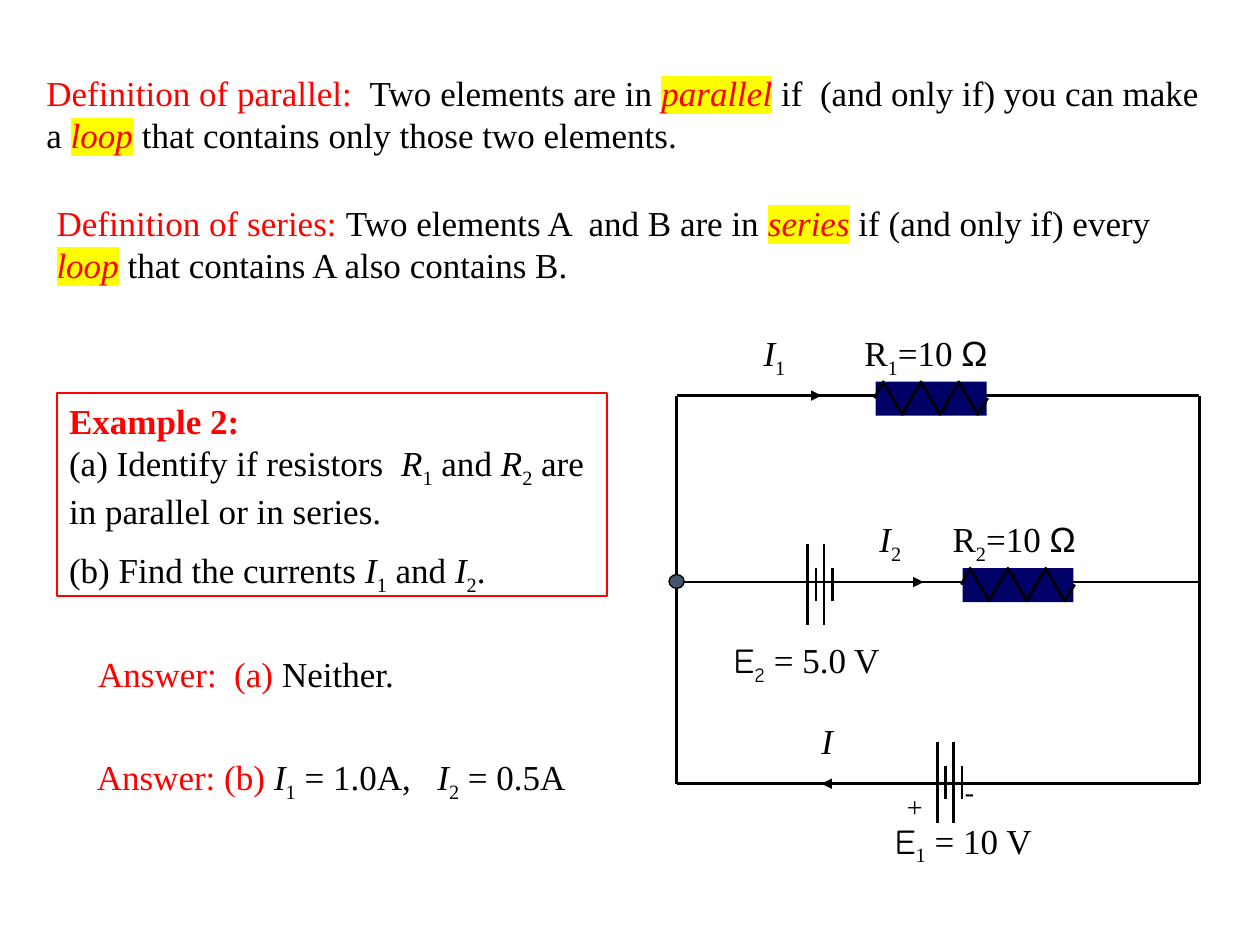
from dataclasses import dataclass
from typing import NamedTuple, Optional

from lxml import etree
from pptx import Presentation
from pptx import util as u
from pptx.dml.color import RGBColor
from pptx.enum import shapes as s, text as t
from pptx.oxml.ns import qn


@dataclass(frozen=True)
class Theme:
    ink: str = "000000"
    accent: str = "FF0000"
    highlight: str = "FFFF00"
    resistor: str = "000066"
    node: str = "44546A"
    font: str = "Times New Roman"
    symbol_font: str = "Arial"
    emf_font: str = "Comic Neue"
    body_size: float = 20
    sign_size: float = 16
    wire: float = 1.5
    thin: float = 0.75
    frame: float = 1.25


THEME = Theme()


class Run(NamedTuple):
    text: str
    color: str = THEME.ink
    font: Optional[str] = None
    italic: bool = False
    bold: bool = False
    subscript: bool = False
    highlight: bool = False


class Box(NamedTuple):
    left: float
    top: float
    width: float
    height: float


class Label(NamedTuple):
    box: Box
    runs: list
    wrap: bool = True


class Resistor(NamedTuple):
    left: float
    top: float


class Battery(NamedTuple):
    left: float
    middle: float


LINE_BREAK = Run("\n")
TEXT_INSETS = (0.1, 0.05)
LABEL_INSETS = (0.11, 0.06)


def red(words: str, bold: bool = False) -> Run:
    return Run(words, THEME.accent, bold=bold)


def term(word: str) -> Run:
    return Run(word, THEME.accent, italic=True, highlight=True)


def symbol(letter: str, index: str) -> list[Run]:
    return [Run(letter, italic=True), Run(index, subscript=True)]


def resistance(index: str) -> list[Run]:
    return [Run("R"), Run(index, subscript=True), Run("=10 "), Run("Ω", font=THEME.symbol_font)]


def lengths(*values: float) -> list[u.Length]:
    return [u.Inches(value) for value in values]


def add_run(paragraph, run: Run) -> None:
    if run == LINE_BREAK:
        paragraph.add_line_break()
        return
    item = paragraph.add_run()
    item.text = run.text
    item.font.color.rgb = RGBColor.from_string(run.color)
    if run.font:
        item.font.name = run.font
    if run.italic:
        item.font.italic = True
    if run.bold:
        item.font.bold = True
    properties = item._r.get_or_add_rPr()
    if run.subscript:
        properties.set("baseline", "-25000")
    if run.highlight:
        mark = etree.Element(qn("a:highlight"))
        etree.SubElement(mark, qn("a:srgbClr")).set("val", THEME.highlight)
        properties.find(qn("a:solidFill")).addnext(mark)


def fill_text(shape, paragraphs: list[list[Run]], size: float = THEME.body_size,
              insets: tuple[float, float] = TEXT_INSETS, wrap: bool = True) -> None:
    frame = shape.text_frame
    frame.word_wrap = wrap
    frame.vertical_anchor = t.MSO_ANCHOR.TOP
    frame.margin_left = frame.margin_right = u.Inches(insets[0])
    frame.margin_top = frame.margin_bottom = u.Inches(insets[1])
    for number, runs in enumerate(paragraphs):
        paragraph = frame.add_paragraph() if number else frame.paragraphs[0]
        paragraph.alignment = t.PP_ALIGN.LEFT
        if number:
            paragraph.space_before = u.Pt(size / 2)
        paragraph.font.size = u.Pt(size)
        paragraph.font.name = THEME.font
        for run in runs:
            add_run(paragraph, run)


def add_text(shapes, box: Box, runs: list[Run], **options) -> None:
    fill_text(shapes.add_textbox(*lengths(*box)), [runs], **options)


def style(shape, fill: Optional[str], line: Optional[str], width: float = THEME.wire) -> None:
    shape.shadow.inherit = False
    if fill:
        shape.fill.solid()
        shape.fill.fore_color.rgb = RGBColor.from_string(fill)
    else:
        shape.fill.background()
    if line:
        shape.line.color.rgb = RGBColor.from_string(line)
        shape.line.width = u.Pt(width)
    else:
        shape.line.fill.background()


def add_line(shapes, x1: float, y1: float, x2: float, y2: float, arrow: bool = False) -> None:
    line = shapes.add_connector(s.MSO_CONNECTOR.STRAIGHT, *lengths(x1, y1, x2, y2))
    line.line.color.rgb = RGBColor.from_string(THEME.ink)
    line.line.width = u.Pt(THEME.thin if arrow else THEME.wire)
    if arrow:
        etree.SubElement(line.line._get_or_add_ln(), qn("a:tailEnd")).set("type", "triangle")
    etree.SubElement(line._element.spPr, qn("a:effectLst"))


def add_resistor(shapes, resistor: Resistor) -> None:
    left, top = resistor
    body = shapes.add_shape(s.MSO_SHAPE.RECTANGLE, *lengths(left, top, 0.88, 0.27))
    style(body, THEME.resistor, None)
    peaks = [(left + 0.06 + 0.15 * n, top + 0.26 * (n % 2)) for n in range(6)]
    points = [(left - 0.01, top + 0.13), *peaks, (left + 0.89, top + 0.13)]
    start, *rest = [tuple(lengths(*point)) for point in points]
    builder = shapes.build_freeform(*start)
    builder.add_line_segments(rest, close=False)
    style(builder.convert_to_shape(), THEME.resistor, THEME.ink)


def add_battery(shapes, battery: Battery) -> None:
    for number, half in enumerate((0.32, 0.13) * 2):
        x = battery.left + 0.065 * number
        add_line(shapes, x, battery.middle + half, x, battery.middle - half)


def draw_circuit(shapes) -> None:
    left, right, upper, centre, lower = 5.37, 9.52, 3.14, 4.62, 6.22
    # Wires
    for x in (left, right):
        add_line(shapes, x, upper, x, lower)
    for y in (upper, centre, lower):
        add_line(shapes, left, y, right, y)
    # Components
    for battery in (Battery(7.44, 6.21), Battery(6.41, 4.64)):
        add_battery(shapes, battery)
    for resistor in (Resistor(6.95, 3.03), Resistor(7.64, 4.51)):
        add_resistor(shapes, resistor)
    # Current arrows
    for start, end, y in ((6.06, 6.52, upper), (6.87, 7.33, centre), (6.99, 6.52, lower)):
        add_line(shapes, start, y, end, y, arrow=True)
    # Labels
    emf = Run("E", font=THEME.emf_font)
    labels = [
        Label(Box(6.75, 2.57, 1.5, 0.45), resistance("1")),
        Label(Box(7.45, 4.05, 1.38, 0.45), resistance("2")),
        Label(Box(6.99, 6.44, 1.84, 0.45), [emf, Run("1", subscript=True), Run(" = 10 V")]),
        Label(Box(5.71, 5.01, 1.51, 0.45),
              [emf, Run("2", font=THEME.emf_font, subscript=True), Run(" = 5.0 V")]),
        Label(Box(6.41, 5.65, 0.32, 0.45), [Run("I", italic=True)], wrap=False),
        Label(Box(5.95, 2.57, 0.41, 0.45), symbol("I", "1"), wrap=False),
        Label(Box(6.87, 4.05, 0.41, 0.45), symbol("I", "2"), wrap=False),
    ]
    for label in labels:
        add_text(shapes, label.box, label.runs, insets=LABEL_INSETS, wrap=label.wrap)
    for sign, x, y in (("+", 7.1, 6.22), ("-", 7.56, 6.1)):
        add_text(shapes, Box(x, y, 0.46, 0.37), [Run(sign)], size=THEME.sign_size)
    # Junction
    node = shapes.add_shape(s.MSO_SHAPE.OVAL, *lengths(5.31, 4.56, 0.12, 0.11))
    style(node, THEME.node, THEME.ink, THEME.thin)


def main() -> None:
    presentation = Presentation()
    presentation.slide_width, presentation.slide_height = lengths(10, 7.5)
    slide = presentation.slides.add_slide(presentation.slide_layouts[6])
    # Definitions
    add_text(slide.shapes, Box(0.27, 0.52, 9.37, 0.77), [
        red("Definition of parallel:  "), Run("Two elements are in "), term("parallel"),
        Run(" if  (and only if) you can make a "), term("loop"),
        Run(" that contains only those two elements.")])
    add_text(slide.shapes, Box(0.35, 1.55, 9.21, 0.77), [
        red("Definition of series: "), Run("Two elements A  and B are in "), term("series"),
        Run(" if (and only if) every "), term("loop"), Run(" that contains A also contains B.")])
    draw_circuit(slide.shapes.add_group_shape().shapes)
    # Example
    example = slide.shapes.add_shape(s.MSO_SHAPE.RECTANGLE, *lengths(0.45, 3.12, 4.37, 1.61))
    style(example, None, THEME.accent, THEME.frame)
    fill_text(example, [
        [red("Example 2:", bold=True), LINE_BREAK, Run("(a) Identify if resistors  "),
         *symbol("R", "1"), Run(" and "), *symbol("R", "2"), Run(" are in parallel or in series.")],
        [Run("(b) Find the currents "), *symbol("I", "1"), Run(" and "), *symbol("I", "2"), Run(".")]])
    # Answers
    add_text(slide.shapes, Box(0.68, 5.13, 2.68, 0.44), [red("Answer:  (a)"), Run(" Neither.")])
    add_text(slide.shapes, Box(0.67, 5.95, 3.94, 0.44), [
        red("Answer: (b) "), *symbol("I", "1"), Run(" = 1.0A,   "), *symbol("I", "2"), Run(" = 0.5A")])
    presentation.save("out.pptx")


if __name__ == "__main__":
    main()
